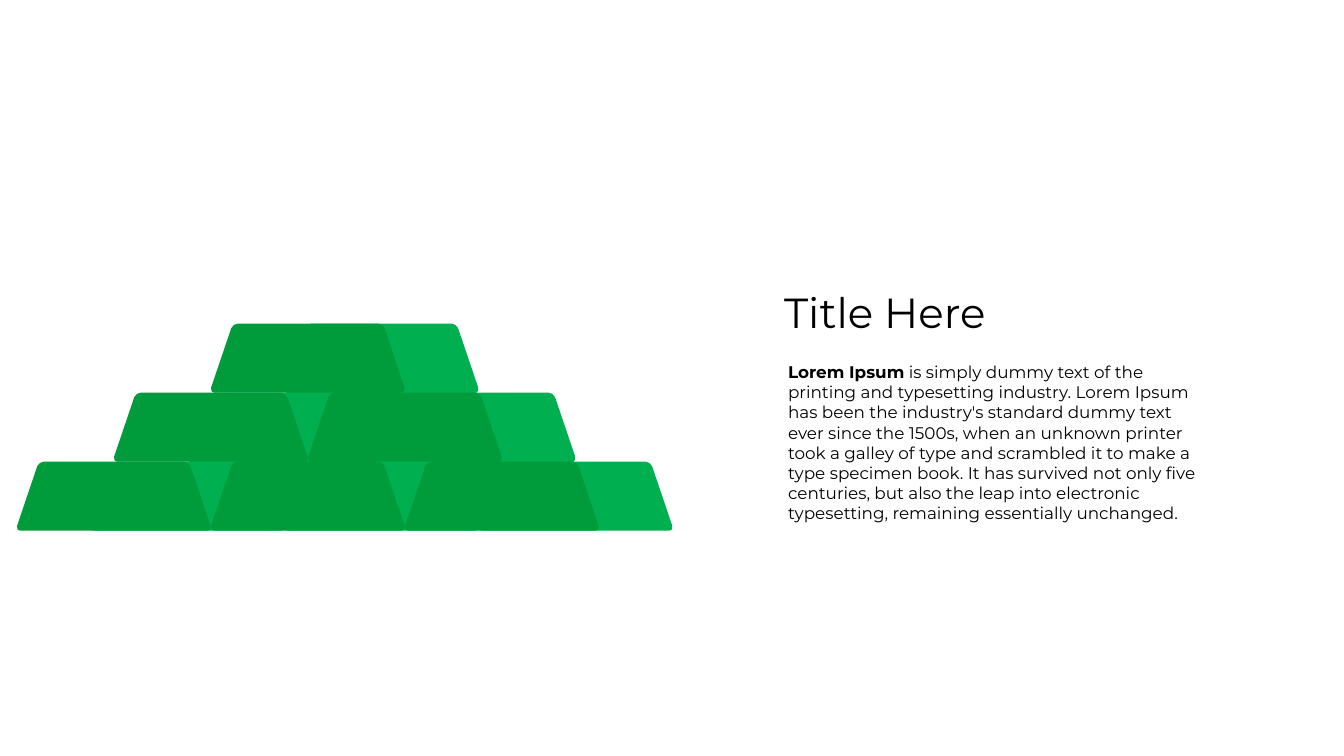
from dataclasses import dataclass

from pptx import Presentation
from pptx.dml.color import RGBColor
from pptx.enum.text import MSO_ANCHOR, MSO_AUTO_SIZE, PP_ALIGN
from pptx.oxml.ns import qn
from pptx.util import Emu, Pt

LEFT = PP_ALIGN.LEFT
TOP = MSO_ANCHOR.TOP
GROW = MSO_AUTO_SIZE.SHAPE_TO_FIT_TEXT
TITLE_ONLY = 5
PX = 9144  # 100 px to the inch


@dataclass(frozen=True)
class Theme:
    font: str = "Montserrat"
    ink: RGBColor = RGBColor(0x00, 0x00, 0x00)
    bar: RGBColor = RGBColor(0x00, 0x9B, 0x3A)
    bar_side: RGBColor = RGBColor(0x00, 0xB0, 0x50)
    title_size: int = 60
    body_size: int = 24


THEME = Theme()

BAR_W, BAR_H, PITCH = 384, 137, 385
SIDE_SHIFT = 146
TIERS = (3, 2, 1)  # bars in each tier, from the bottom up
# Bezier corners of a bar's right flank, measured from its lower right end
FOOT = ((-7, 0), (-1, 0), (2, -5), (0, -10))
SHOULDER = ((-40, -128), (-42, -133), (-48, -137), (-53, -137))

LOREM = (
    " is simply dummy text of the printing and typesetting industry. "
    "Lorem Ipsum has been the industry's standard dummy text ever since the "
    "1500s, when an unknown printer took a galley of type and scrambled it to "
    "make a type specimen book. It has survived not only five centuries, but "
    "also the leap into electronic typesetting, remaining essentially unchanged."
)


def px(n):
    return Emu(round(n * PX))


def shift(curve, dx, dy=0):
    return [(x + dx, y + dy) for x, y in curve]


def mirror(curve):
    return [(-x, y) for x, y in reversed(curve)]


def stack_corners(tiers):
    """Corner curves around a stack, from the middle of its base."""
    right = []
    for level, count in enumerate(tiers):
        half = (BAR_W + (count - 1) * PITCH) / 2
        right += [shift(c, half, -level * BAR_H) for c in (FOOT, SHOULDER)]
    corners = right + [mirror(c) for c in reversed(right)]
    # Notches between the bars of the base
    for gap in range(1, tiers[0]):
        x = (gap - tiers[0] / 2) * PITCH
        inset = (PITCH - BAR_W) / 2
        corners += [shift(FOOT, x - inset), shift(mirror(FOOT), x + inset)]
    return corners


def round_corners(s):
    """Turn each run of three line segments at a corner into one Bezier."""
    contour = s._element.find(".//" + qn("a:path"))
    steps = list(contour)[:-1]
    for i in range(0, len(steps), 4):
        first, *others = steps[i + 1:i + 4]
        first.tag = qn("a:cubicBezTo")
        for step in others:
            first.append(step[0])
            contour.remove(step)


def add_stack(shapes, center, bottom, tiers, color):
    """One outline around tiers of bars that stand on each other."""
    points = [
        (px(center + x), px(bottom + y))
        for corner in stack_corners(tiers) for x, y in corner
    ]
    builder = shapes.build_freeform(*points[0])
    builder.add_line_segments(points[1:], close=True)
    s = builder.convert_to_shape()
    round_corners(s)
    s.shadow.inherit = False
    s.fill.solid()
    s.fill.fore_color.rgb = color
    s.line.fill.background()


def add_pyramid(slide, center, bottom):
    shapes = slide.shapes.add_group_shape().shapes
    # Lighter sides behind all bars
    add_stack(shapes, center + SIDE_SHIFT, bottom, TIERS, THEME.bar_side)
    # Bar fronts
    for level, count in enumerate(TIERS):
        for i in range(count):
            x = center + (i - (count - 1) / 2) * PITCH
            add_stack(shapes, x, bottom - level * BAR_H, (1,), THEME.bar)


def format_text(tf, size):
    tf.word_wrap = True
    tf.auto_size = GROW
    tf.vertical_anchor = TOP
    for p in tf.paragraphs:
        p.alignment = LEFT
        for r in p.runs:
            r.font.name = THEME.font
            r.font.size = Pt(size)
            r.font.color.rgb = THEME.ink


def add_copy(slide, x, y):
    # Title
    title = slide.shapes.title
    title.left, title.top, title.width, title.height = px(x), px(y), px(800), px(111)
    title.text_frame.text = "Title Here"
    format_text(title.text_frame, THEME.title_size)
    # Body with a bold lead-in
    tf = slide.shapes.add_textbox(px(x + 8), px(y + 149), px(839), px(333)).text_frame
    p = tf.paragraphs[0]
    for text, bold in (("Lorem Ipsum", True), (LOREM, False)):
        r = p.add_run()
        r.text = text
        r.font.bold = bold
    format_text(tf, THEME.body_size)


def main():
    prs = Presentation()
    prs.slide_width, prs.slide_height = px(2667), px(1500)
    slide = prs.slides.add_slide(prs.slide_layouts[TITLE_ONLY])
    add_copy(slide, 1546, 564)
    add_pyramid(slide, 611, 1053)
    prs.save("out.pptx")


if __name__ == "__main__":
    main()
